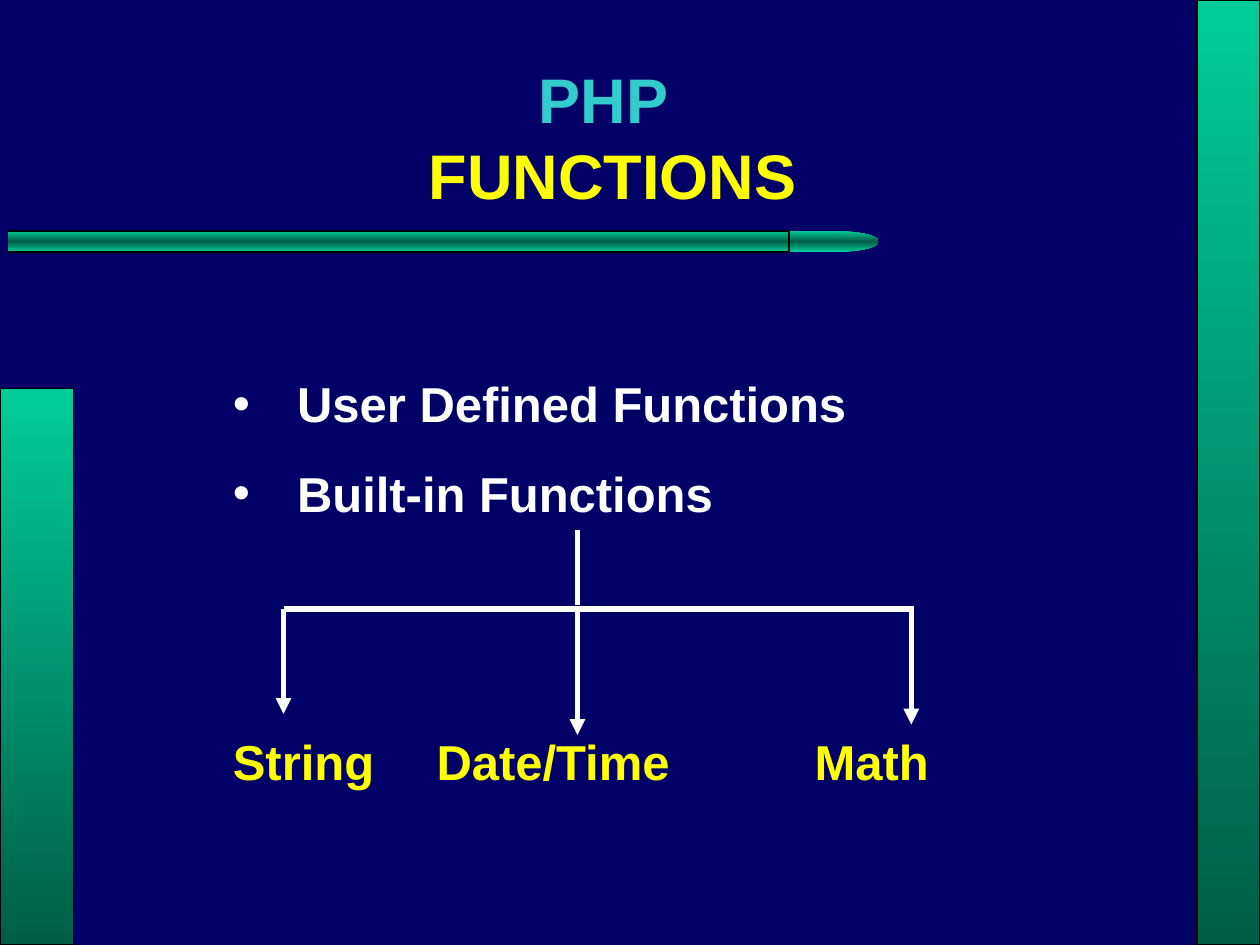
import pptx
import pptx.util
import pptx.dml.color
import pptx.enum.shapes
import pptx.enum.text
import pptx.oxml
import pptx.oxml.ns

COLORS = {"navy": "000066", "white": "FFFFFF", "yellow": "FFFF00", "aqua": "33CCCC",
          "mint": "00CC99", "pine": "005E46", "black": "000000"}
NS = pptx.oxml.ns.nsdecls("a")
SHAPES = pptx.enum.shapes.MSO_SHAPE
ALIGN = pptx.enum.text.PP_ALIGN


def rgb(name):
    return pptx.dml.color.RGBColor.from_string(COLORS[name])


def add_xml(parent, xml):
    parent.append(pptx.oxml.parse_xml(xml))


def write(frame, text, size=28, color="white", align=ALIGN.LEFT, before=0,
          margin=0, indent=0, bullet=False):
    paragraph = frame.paragraphs[0]
    if paragraph.runs:
        paragraph = frame.add_paragraph()
    paragraph.alignment = align
    paragraph.space_before = pptx.util.Pt(before)
    props = paragraph._p.get_or_add_pPr()
    props.set("marL", str(pptx.util.Inches(margin)))
    props.set("indent", str(pptx.util.Inches(indent)))
    if bullet:
        add_xml(props, f'<a:buClr {NS}><a:srgbClr val="{COLORS[color]}"/></a:buClr>')
        add_xml(props, f'<a:buFont {NS} typeface="Arial"/>')
        add_xml(props, f'<a:buChar {NS} char="•"/>')
    run = paragraph.add_run()
    run.text = text
    run.font.name = "Arial"
    run.font.size = pptx.util.Pt(size)
    run.font.bold = True
    run.font.color.rgb = rgb(color)


class Deck:
    """Draws styled elements on one slide laid out on a 120 by 90 grid."""

    def __init__(self, columns=120, rows=90):
        self.show = pptx.Presentation()
        self.show.slide_width = pptx.util.Inches(10)
        self.show.slide_height = pptx.util.Inches(7.5)
        self.column = self.show.slide_width / columns
        self.row = self.show.slide_height / rows
        self.slide = self.show.slides.add_slide(self.show.slide_layouts[6])
        self.slide.background.fill.solid()
        self.slide.background.fill.fore_color.rgb = rgb("navy")

    def place(self, *cells):
        return [round(cell * (self.row if i % 2 else self.column)) for i, cell in enumerate(cells)]

    def text(self, *cells, anchor=pptx.enum.text.MSO_ANCHOR.TOP):
        frame = self.slide.shapes.add_textbox(*self.place(*cells)).text_frame
        frame.word_wrap = True
        frame.vertical_anchor = anchor
        return frame

    def line(self, *cells, arrow=False):
        connector = self.slide.shapes.add_connector(
            pptx.enum.shapes.MSO_CONNECTOR.STRAIGHT, *self.place(*cells))
        connector.line.color.rgb = rgb("white")
        connector.line.width = pptx.util.Pt(3)
        if arrow:
            add_xml(connector.line._get_or_add_ln(), f'<a:tailEnd {NS} type="triangle"/>')
        add_xml(connector._element.spPr, f"<a:effectLst {NS}/>")

    def bar(self, *cells, shades=("mint", "pine"), kind=SHAPES.RECTANGLE, outline=True, group=None):
        owner = group.shapes if group else self.slide.shapes
        shape = owner.add_shape(kind, *self.place(*cells))
        shape.shadow.inherit = False
        shape.fill.gradient()
        shape.fill.gradient_angle = 270
        stops = shape._element.spPr.find(".//" + pptx.oxml.ns.qn("a:gsLst"))
        for stop in list(stops):
            stops.remove(stop)
        for i, shade in enumerate(shades):
            position = round(100000 * i / (len(shades) - 1))
            add_xml(stops, f'<a:gs {NS} pos="{position}"><a:srgbClr val="{COLORS[shade]}"/></a:gs>')
        if outline:
            shape.line.color.rgb = rgb("black")
            shape.line.width = pptx.util.Pt(0.75)
        else:
            shape.line.fill.background()


def main():
    deck = Deck()

    topics = deck.text(21, 35, 83, 15)
    for topic, before in (("User Defined Functions", 0), ("Built-in Functions", 17.5)):
        write(topics, topic, before=before, margin=0.51, indent=-0.51, bullet=True)

    title = deck.text(14, 4, 87, 18, anchor=pptx.enum.text.MSO_ANCHOR.MIDDLE)
    write(title, "PHP", size=36, color="aqua", align=ALIGN.CENTER)
    write(title, "FUNCTIONS", size=36, color="yellow", align=ALIGN.CENTER, margin=0.14)

    trunk, branch = 55, 58
    deck.line(trunk, 50.5, trunk, 57.6)
    deck.line(27, branch, 87, branch)
    families = (("String", 21, 18, 27, 68), ("Date/Time", 40.4, 28, trunk, 70),
                ("Math", 76.4, 18, 86.8, 69))
    for family, left, width, column, tip in families:
        deck.line(column, branch, column, tip, arrow=True)
        write(deck.text(left, 69.1, width, 7), family, color="yellow")

    deck.bar(0, 37, 7, 53)
    deck.bar(114, 0, 6, 90)
    pencil = deck.slide.shapes.add_group_shape()
    sheen = ("mint", "pine", "mint")
    deck.bar(0.7, 22, 74.4, 2, shades=sheen, group=pencil)
    deck.bar(75.2, 22, 8.5, 2, shades=sheen, kind=SHAPES.FLOWCHART_DELAY, outline=False, group=pencil)

    deck.show.save("out.pptx")


if __name__ == "__main__":
    main()
